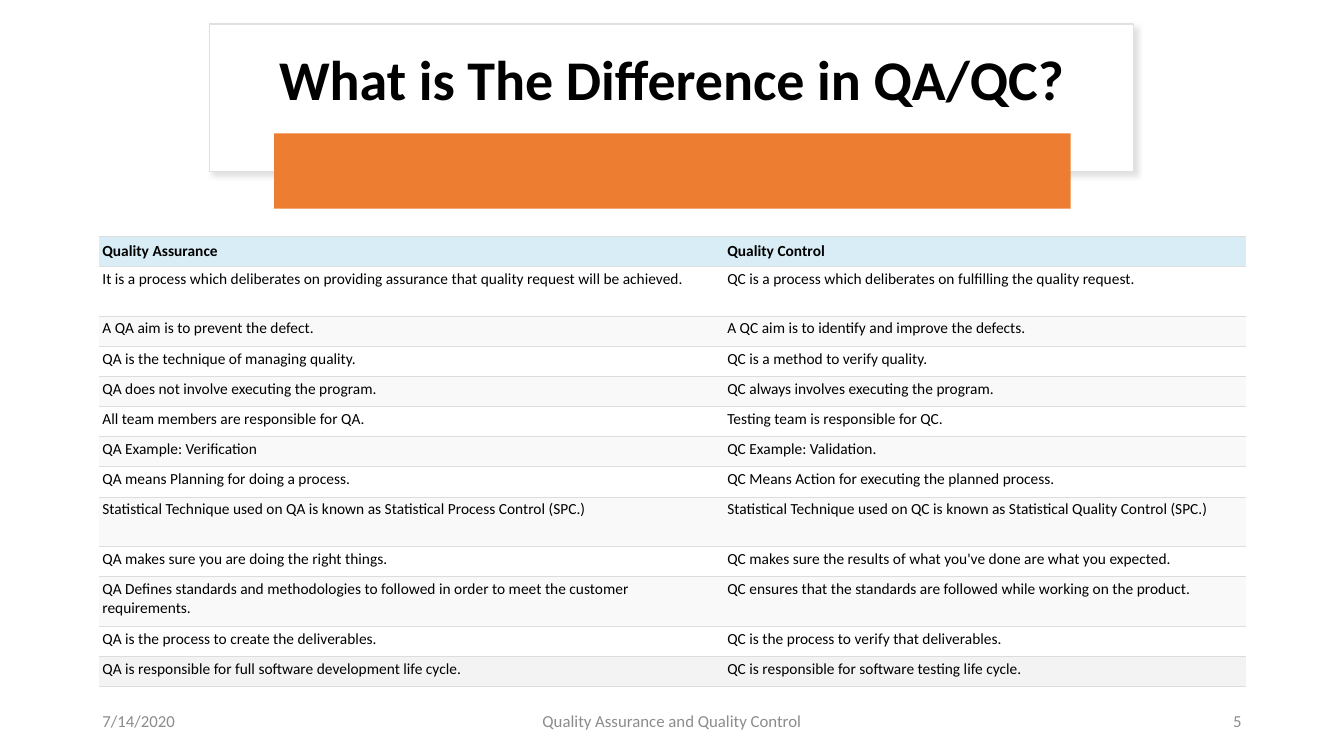
from dataclasses import dataclass

from lxml import etree
from pptx import Presentation
from pptx.dml.color import RGBColor
from pptx.enum.shapes import MSO_SHAPE
from pptx.enum.text import MSO_ANCHOR, PP_ALIGN
from pptx.oxml.ns import qn
from pptx.util import Cm, Pt

RECTANGLE, ROUNDED = MSO_SHAPE.RECTANGLE, MSO_SHAPE.ROUNDED_RECTANGLE
TOP, MIDDLE = MSO_ANCHOR.TOP, MSO_ANCHOR.MIDDLE
LEFT, CENTER, RIGHT = PP_ALIGN.LEFT, PP_ALIGN.CENTER, PP_ALIGN.RIGHT

FONT = "Calibri"
COLORS = {
    "white": "FFFFFF", "black": "000000", "orange": "ED7D31",
    "frame": "E1E1E1", "shadow": "C5C3C3", "rule": "DDDDDD",
    "header": "D9EDF7", "band": "F9F9F9", "last": "F3F3F3", "footer": "8C8C8C",
}

# Table layout in centimetres
COLUMN_WIDTHS = (15.75, 13.16)
ROW_HEIGHT, TALL_ROW_HEIGHT = 0.76, 1.25
TALL_ROWS = (1, 8, 10)
CELL_MARGIN = 0.08

ROWS = [
    ("Quality Assurance", "Quality Control"),
    ("It is a process which deliberates on providing assurance that quality request will be achieved.",
     "QC is a process which deliberates on fulfilling the quality request."),
    ("A QA aim is to prevent the defect.",
     "A QC aim is to identify and improve the defects."),
    ("QA is the technique of managing quality.",
     "QC is a method to verify quality."),
    ("QA does not involve executing the program.",
     "QC always involves executing the program."),
    ("All team members are responsible for QA.",
     "Testing team is responsible for QC."),
    ("QA Example: Verification", "QC Example: Validation."),
    ("QA means Planning for doing a process.",
     "QC Means Action for executing the planned process."),
    ("Statistical Technique used on QA is known as Statistical Process Control (SPC.)",
     "Statistical Technique used on QC is known as Statistical Quality Control (SPC.)"),
    ("QA makes sure you are doing the right things.",
     "QC makes sure the results of what you've done are what you expected."),
    ("QA Defines standards and methodologies to followed in order to meet the customer requirements.",
     "QC ensures that the standards are followed while working on the product."),
    ("QA is the process to create the deliverables.",
     "QC is the process to verify that deliverables."),
    ("QA is responsible for full software development life cycle.",
     "QC is responsible for software testing life cycle."),
]


@dataclass
class Label:
    text: str
    left: float
    top: float
    width: float
    height: float
    size: float
    color: str
    align: PP_ALIGN
    bold: bool = False
    line_spacing: float = 1.0


LABELS = [
    Label("What is The Difference in QA/QC?", 5.84, 0.86, 22.17, 2.41, 40, "black", CENTER, True, 0.9),
    Label("7/14/2020", 2.33, 17.65, 7.62, 1.01, 12, "footer", LEFT),
    Label("Quality Assurance and Quality Control", 11.22, 17.65, 11.43, 1.01, 12, "footer", CENTER),
    Label("5", 23.92, 17.65, 7.62, 1.01, 12, "footer", RIGHT),
]


def rgb(name: str) -> RGBColor:
    return RGBColor.from_string(COLORS[name])


def style_paragraph(paragraph, size: float, color: str, bold: bool) -> None:
    font = paragraph.font
    font.name, font.size, font.bold = FONT, Pt(size), bold
    font.color.rgb = rgb(color)


def add_block(slide, preset, left: float, top: float, width: float, height: float, fill: str):
    shape = slide.shapes.add_shape(preset, Cm(left), Cm(top), Cm(width), Cm(height))
    shape.shadow.inherit = False
    shape.fill.solid()
    shape.fill.fore_color.rgb = rgb(fill)
    shape.line.fill.background()
    return shape


def add_shadow(shape) -> None:
    effects = shape._element.spPr.find(qn("a:effectLst"))
    shadow = etree.SubElement(effects, qn("a:outerShdw"), blurRad=str(Pt(4)), dist=str(Pt(3)),
                              dir=str(45 * 60000), algn="tl", rotWithShape="0")
    color = etree.SubElement(shadow, qn("a:srgbClr"), val=COLORS["shadow"])
    etree.SubElement(color, qn("a:alpha"), val="50000")


def add_label(slide, label: Label) -> None:
    box = slide.shapes.add_textbox(Cm(label.left), Cm(label.top), Cm(label.width), Cm(label.height))
    frame = box.text_frame
    frame.word_wrap = True
    frame.vertical_anchor = MIDDLE
    paragraph = frame.paragraphs[0]
    paragraph.text = label.text
    paragraph.alignment = label.align
    paragraph.line_spacing = label.line_spacing
    style_paragraph(paragraph, label.size, label.color, label.bold)


def set_borders(cell) -> None:
    """Rule the top and bottom edges and clear the sides."""
    properties = cell._tc.get_or_add_tcPr()
    for position, side in enumerate(("lnL", "lnR", "lnT", "lnB")):
        line = etree.Element(qn(f"a:{side}"), w=str(Pt(0.6)))
        properties.insert(position, line)
        if side in ("lnL", "lnR"):
            etree.SubElement(line, qn("a:noFill"))
        else:
            fill = etree.SubElement(line, qn("a:solidFill"))
            etree.SubElement(fill, qn("a:srgbClr"), val=COLORS["rule"])


def row_fill(index: int) -> str:
    if index == 0:
        return "header"
    if index == len(ROWS) - 1:
        return "last"
    return "white" if index % 2 else "band"


def add_comparison_table(slide) -> None:
    heights = [TALL_ROW_HEIGHT if index in TALL_ROWS else ROW_HEIGHT for index in range(len(ROWS))]
    table = slide.shapes.add_table(len(ROWS), len(COLUMN_WIDTHS), Cm(2.5), Cm(5.95),
                                   Cm(sum(COLUMN_WIDTHS)), Cm(sum(heights))).table
    table.first_row = table.horz_banding = False
    for column, width in zip(table.columns, COLUMN_WIDTHS):
        column.width = Cm(width)
    for index, (row, height, texts) in enumerate(zip(table.rows, heights, ROWS)):
        row.height = Cm(height)
        for cell, text in zip(row.cells, texts):
            cell.text = text
            cell.margin_left = cell.margin_right = Cm(CELL_MARGIN)
            cell.margin_top = cell.margin_bottom = Cm(CELL_MARGIN)
            cell.vertical_anchor = TOP if index else MIDDLE
            cell.fill.solid()
            cell.fill.fore_color.rgb = rgb(row_fill(index))
            style_paragraph(cell.text_frame.paragraphs[0], 11, "black", index == 0)
            set_borders(cell)


def main() -> None:
    presentation = Presentation()
    presentation.slide_width, presentation.slide_height = Cm(33.87), Cm(19.05)
    slide = presentation.slides.add_slide(presentation.slide_layouts[6])

    # Title frame and orange bar
    title_frame = add_block(slide, RECTANGLE, 5.28, 0.61, 23.29, 3.71, "white")
    title_frame.line.color.rgb = rgb("frame")
    title_frame.line.width = Pt(1)
    add_shadow(title_frame)
    bar = add_block(slide, ROUNDED, 6.91, 3.36, 20.07, 1.9, "orange")
    bar.adjustments[0] = 0

    # Comparison, title and footer
    add_comparison_table(slide)
    for label in LABELS:
        add_label(slide, label)

    presentation.save("out.pptx")


if __name__ == "__main__":
    main()
